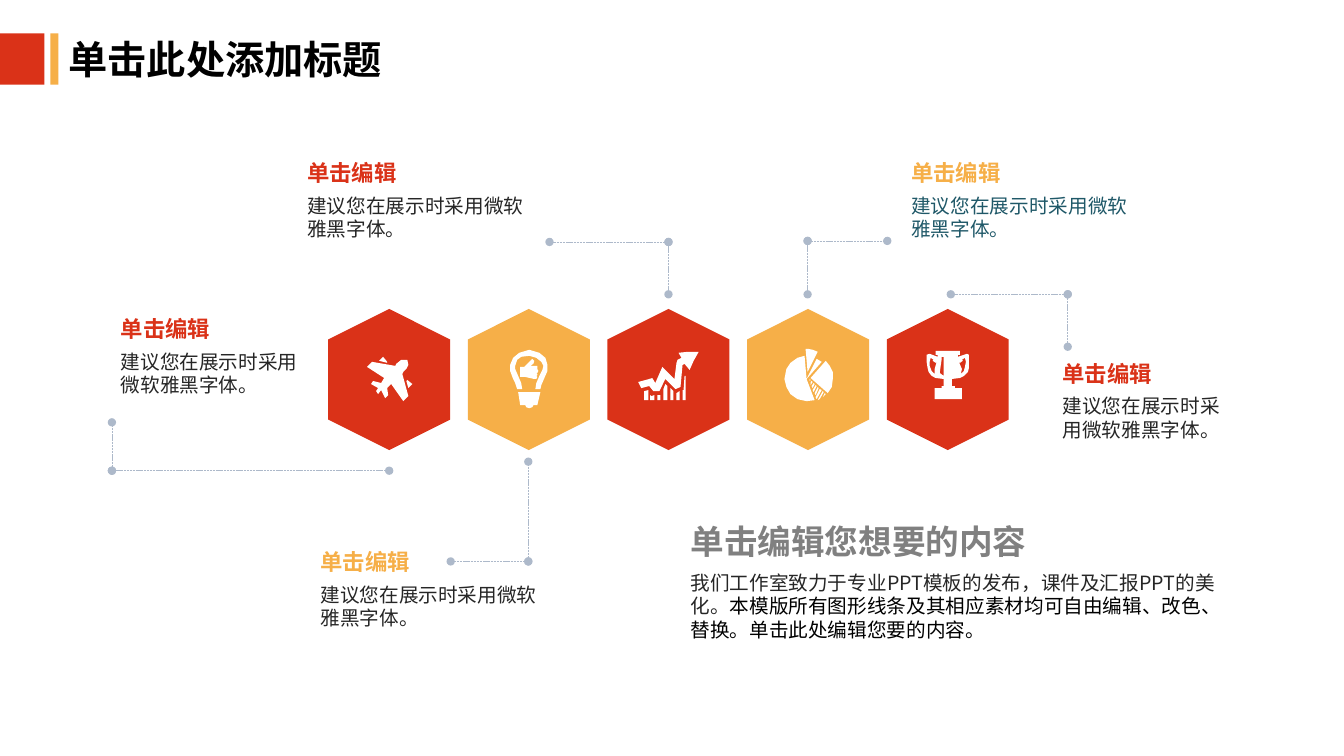
from pptx import Presentation
from pptx.dml.color import RGBColor
from pptx.enum.dml import MSO_LINE
from pptx.enum.shapes import MSO_CONNECTOR as LINK, MSO_SHAPE as SHAPE
from pptx.enum.text import MSO_ANCHOR as ANCHOR, PP_ALIGN as ALIGN
from pptx.oxml.ns import qn
from pptx.util import Inches, Pt
from lxml import etree

RED = RGBColor(0xDA, 0x32, 0x18)
GOLD = RGBColor(0xF6, 0xAF, 0x48)
WHITE = RGBColor(0xFF, 0xFF, 0xFF)
BLACK = RGBColor(0, 0, 0)
DARK = RGBColor(0x26, 0x26, 0x26)
TEAL = RGBColor(0x1F, 0x58, 0x68)
GRAY = RGBColor(0x80, 0x80, 0x80)
STEEL = RGBColor(0xAD, 0xB9, 0xCA)
FONT = "Noto Sans CJK SC"

# Icon outlines, in hundredths of an inch from the icon's corner
PLANE = [
    [(40, 3), (41, 8), (39, 12), (36, 15), (35, 17), (41, 39), (36, 44), (24, 27),
     (20, 31), (21, 38), (18, 41), (14, 33), (11, 37), (9, 34), (11, 31), (4, 27),
     (6, 24), (14, 26), (17, 21), (0, 10), (5, 5), (28, 9), (29, 7), (34, 3)],
    [(45, 27), (40, 23), (39, 24), (41, 31)],
    [(16, 0), (12, 4), (20, 6), (20, 5)],
]
BULB = [
    [(9, 42), (31, 42), (28, 55), (24, 55), (23, 57), (20, 58), (17, 57), (16, 55),
     (11, 55)],
    [(28, 16), (28, 19), (29, 21), (28, 23), (27, 23), (28, 24), (28, 25), (27, 26),
     (28, 27), (27, 29), (25, 29), (16, 27), (11, 27), (11, 17), (15, 17), (23, 9),
     (25, 11), (24, 14), (21, 16)],
    [(8, 39), (13, 39), (12, 33), (9, 26), (6, 19), (6, 16), (8, 10), (12, 7),
     (20, 6), (27, 8), (32, 12), (34, 16), (33, 20), (30, 26), (27, 33), (26, 39),
     (31, 39), (32, 35), (35, 28), (38, 21), (38, 15), (36, 8), (30, 3), (20, 0),
     (10, 3), (4, 8), (1, 15), (1, 21), (4, 29), (6, 33)],
]
CHART = [
    [(44, 48), (47, 48), (47, 24), (46, 24), (45, 38), (44, 38)],
    [(60, 0), (55, 9), (51, 18), (46, 12), (44, 13), (42, 35), (37, 37), (27, 27),
     (21, 39), (15, 39), (11, 34), (3, 36), (0, 30), (11, 27), (14, 26), (17, 31),
     (24, 15), (36, 27), (38, 11), (39, 8), (43, 6), (40, 1), (49, 0)],
    [(6, 48), (10, 48), (10, 38), (6, 39)],
    [(12, 48), (16, 48), (16, 43), (13, 44), (12, 43)],
    [(19, 48), (22, 48), (22, 43), (19, 43)],
    [(25, 48), (29, 48), (29, 34), (27, 32), (25, 37)],
    [(32, 48), (35, 48), (35, 39), (32, 36)],
    [(38, 48), (41, 48), (41, 39), (38, 41)],
]
PIE = [
    [(41, 12), (45, 17), (48, 23), (48, 30), (47, 38), (43, 44), (26, 29)],
    [(41, 45), (38, 48), (40, 44)],
    [(35, 50), (39, 43), (38, 42), (33, 51)],
    [(32, 50), (37, 41), (35, 40), (31, 48)],
    [(31, 46), (34, 39), (33, 38), (30, 44)],
    [(29, 43), (32, 37), (31, 36), (28, 41)],
    [(28, 39), (30, 35), (29, 34), (27, 37)],
    [(26, 36), (28, 33), (27, 32), (26, 33)],
    [(25, 32), (25, 30), (26, 31)],
    [(32, 10), (22, 30), (20, 7), (13, 9), (6, 14), (2, 20), (0, 30), (2, 38),
     (6, 45), (13, 50), (22, 52), (30, 51), (22, 30), (37, 13)],
    [(23, 0), (21, 0), (23, 23), (33, 3), (28, 1)],
]
TROPHY = [
    [(11, 4), (11, 6), (3, 3), (0, 4), (0, 11), (1, 17), (2, 21), (5, 25), (9, 27),
     (17, 28), (17, 35), (15, 35), (15, 37), (8, 37), (8, 48), (35, 48), (35, 37),
     (28, 37), (28, 35), (25, 35), (25, 28), (33, 27), (37, 25), (41, 21), (42, 17),
     (42, 4), (40, 3), (31, 6), (31, 4), (33, 4), (33, 0), (9, 0), (9, 4)],
    [(34, 23), (35, 18), (32, 11), (33, 12), (36, 10), (35, 9), (38, 7), (39, 11),
     (38, 16), (37, 20)],
    [(10, 11), (8, 18), (8, 23), (5, 20), (3, 15), (3, 11), (4, 7), (7, 9), (6, 10),
     (9, 12)],
    [(17, 6), (17, 25), (13, 22), (14, 15), (15, 8), (15, 6)],
]

deck = Presentation()
deck.slide_width, deck.slide_height = Inches(13.33), Inches(7.5)
slide = deck.slides.add_slide(deck.slide_layouts[5])
shapes = slide.shapes


def write(runs, at, size, bold=False, wrap=True, box=None):
    """Fill a box with (text, colour) runs in one paragraph."""
    box = box or shapes.add_textbox(0, 0, 0, 0)
    box.left, box.top, box.width, box.height = map(Inches, at)
    frame = box.text_frame
    frame.word_wrap = wrap
    frame.vertical_anchor = ANCHOR.TOP
    par = frame.paragraphs[0]
    par.alignment = ALIGN.LEFT
    par.line_spacing = Pt(size * 1.2)
    for text, color in runs:
        run = par.add_run()
        run.text = text
        font = run.font
        font.name, font.size, font.bold = FONT, Pt(size), bold
        font.color.rgb = color
        east = etree.SubElement(run._r.get_or_add_rPr(), qn("a:ea"))
        east.set("typeface", FONT)


def paint(shape, color):
    shape.shadow.inherit = False
    shape.fill.solid()
    shape.fill.fore_color.rgb = color
    shape.line.fill.background()


write([("单击此处添加标题", BLACK)], (0.58, 0.3, 3.33, 0.57), 28, bold=True,
      wrap=False, box=shapes.title)
for left, wide, color in [(0, 0.44, RED), (0.5, 0.08, GOLD)]:
    bar = shapes.add_shape(SHAPE.RECTANGLE, Inches(left), Inches(0.33),
                           Inches(wide), Inches(0.51))
    paint(bar, color)

icons = [(PLANE, 3.64, 3.54), (BULB, 5.05, 3.47), (CHART, 6.33, 3.49),
         (PIE, 7.78, 3.46), (TROPHY, 9.19, 3.48)]
for i, (rings, left, top) in enumerate(icons):
    tile = shapes.add_shape(SHAPE.HEXAGON, Inches(3.16 + 1.385 * i), Inches(3.16),
                            Inches(1.4), Inches(1.21))
    tile.rotation = 270
    paint(tile, GOLD if i % 2 else RED)
    pen = shapes.build_freeform(*rings[0][0], scale=Inches(0.01))
    for n, ring in enumerate(rings):
        if n:
            pen.move_to(*ring[0])
        pen.add_line_segments(ring[1:], close=True)
    paint(pen.convert_to_shape(Inches(left), Inches(top)), WHITE)

# Each leader: its corner, then the far ends of its two legs
leaders = [
    ((1.11, 4.67), (3.86, 4.67), (1.11, 4.19)),
    ((5.24, 5.57), (4.47, 5.57), (5.24, 4.58)),
    ((6.63, 2.4), (5.45, 2.4), (6.63, 2.92)),
    ((8.01, 2.39), (8.8, 2.39), (8.01, 2.92)),
    ((10.59, 2.92), (9.43, 2.92), (10.59, 3.44)),
]
for corner, *ends in leaders:
    for end in ends:
        leg = shapes.add_connector(LINK.STRAIGHT, *map(Inches, corner + end))
        leg.line.color.rgb = STEEL
        leg.line.width = Pt(0.5)
        leg.line.dash_style = MSO_LINE.SQUARE_DOT
        for tag in ("a:headEnd", "a:tailEnd"):
            etree.SubElement(leg.line._ln, qn(tag)).set("type", "oval")
        etree.SubElement(leg._element.spPr, qn("a:effectLst"))

notes = [(1.1, 3.08, 2.07, RED, DARK), (3.08, 5.39, 2.48, GOLD, DARK),
         (2.95, 1.53, 2.48, RED, DARK), (8.94, 1.53, 2.48, GOLD, TEAL),
         (10.44, 3.52, 1.94, RED, DARK)]
for left, top, wide, color, ink in notes:
    write([("单击编辑", color)], (left, top, 1.1, 0.37), 16, bold=True, wrap=False)
    write([("建议您在展示时采用微软雅黑字体。", ink)],
          (left, top + 0.34, wide, 0.57), 14)

write([("单击编辑您想要的内容", GRAY)], (6.75, 5.12, 3.59, 0.5), 24, bold=True,
      wrap=False)
write([("我们工作室致力于专业PPT模板的发布，课件及汇报PPT的美化。", DARK),
       ("本模版所有图形线条及其相应素材均可自由编辑、改色、替换。单击此处编辑您要的内容。",
        BLACK)], (6.75, 5.61, 5.44, 0.81), 14)

deck.save("out.pptx")
